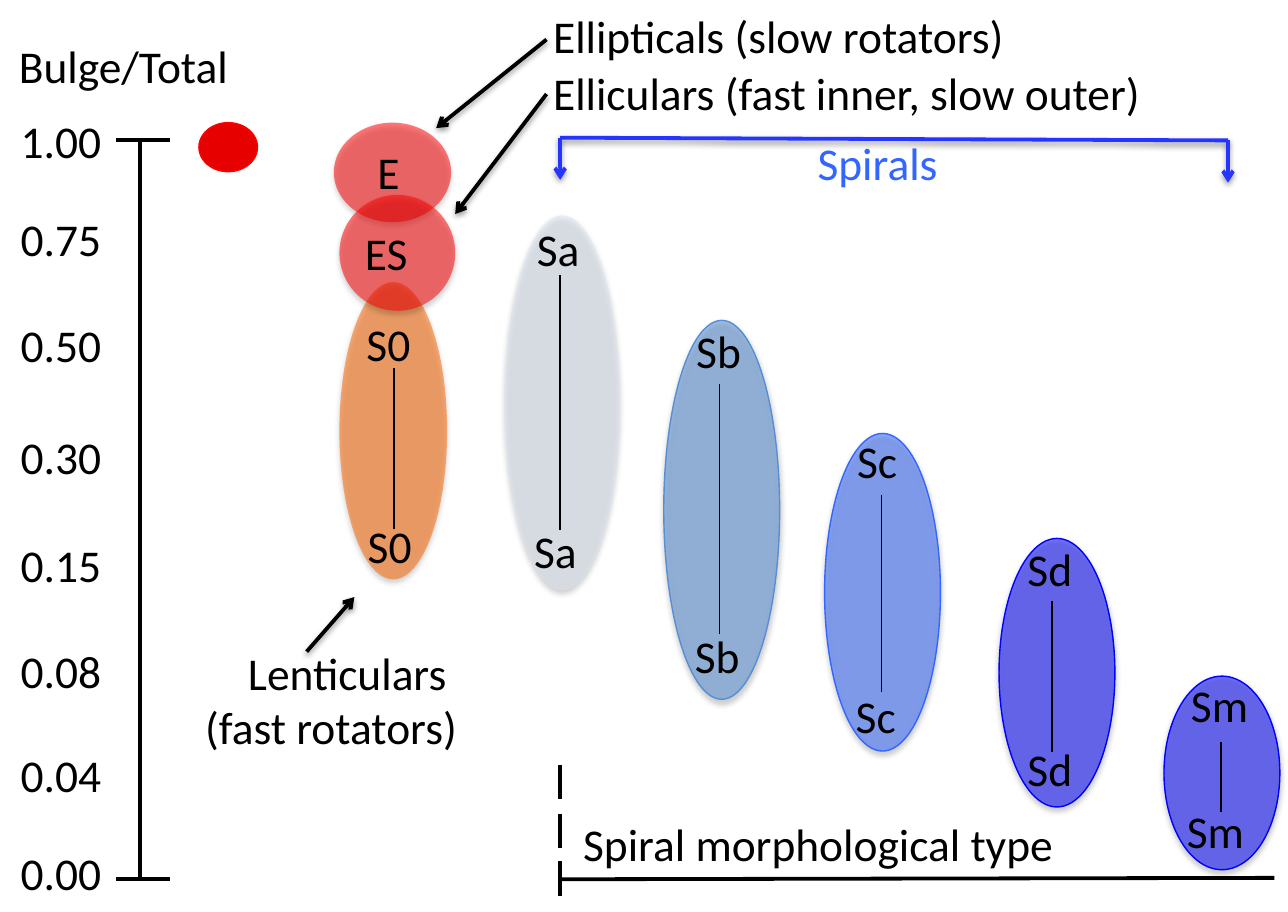
"""Draw a galaxy classification chart of bulge fraction against type."""
from lxml import etree
from pptx import Presentation
from pptx.dml.color import RGBColor
from pptx.enum import shapes, text
from pptx.oxml import ns
from pptx.util import Inches, Pt

HUES = {
    "black": "000000", "white": "FFFFFF", "red": "FF0000", "deep": "E70000",
    "orange": "FF6600", "pale": "DCE6F2", "steel": "558ED5",
    "sky": "3366FF", "blue": "0000FF", "span": "2535FF",
}

# name, hue, edged, (left, top, width, height), label spots, stem (x, top, end)
TYPES = [
    ("S0", "orange", False, (2.49, 2.07, 0.79, 2.18),
     [(2.59, 2.27), (2.6, 3.75)], (2.89, 2.7, 3.88)),
    ("E", "red", False, (2.45, 0.9, 0.86, 0.73), [(2.67, 1.01)], None),
    ("Sm", "blue", True, (8.54, 4.96, 0.85, 1.42),
     [(8.64, 4.92), (8.61, 5.84)], (8.96, 5.44, 5.96)),
    ("Sd", "blue", True, (7.33, 3.95, 0.85, 1.97),
     [(7.44, 3.92), (7.44, 5.39)], (7.72, 4.41, 5.52)),
    ("Sc", "sky", True, (6.05, 3.18, 0.85, 2.33),
     [(6.19, 3.13), (6.18, 5)], (6.47, 3.63, 5.08)),
    ("Sb", "steel", True, (4.87, 2.35, 0.85, 2.78),
     [(5.01, 2.32), (5, 4.56)], (5.28, 2.82, 4.65)),
    ("Sa", "pale", False, (3.7, 1.58, 0.85, 2.75),
     [(3.84, 1.57), (3.82, 3.79)], (4.11, 2.02, 3.89)),
    ("ES", "red", False, (2.49, 1.43, 0.85, 0.85), [(2.58, 1.6)], None),
]
SCALE = [("1.00", 0.78), ("0.75", 1.5), ("0.50", 2.28), ("0.30", 3.1),
         ("0.15", 3.89), ("0.08", 4.67), ("0.04", 5.43), ("0.00", 6.15)]
NOTES = [
    ("Bulge/Total", (0.04, 0.23, 2.46, 0.5)),
    ("Ellipticals (slow rotators)", (3.96, 0.01, 5.4, 0.5)),
    ("Elliculars (fast inner, slow outer)", (3.96, 0.43, 5.4, 0.5)),
    ("Spiral morphological type", (4.18, 5.94, 4.29, 0.5)),
]
AXES = [(1.03, 1.03, 1.03, 6.44), (9.35, 6.44, 4.11, 6.45)]
TICKS = [1.03, 6.45]
DASHES = [5.61, 5.97, 6.32]
POINTERS = [(4.01, 0.69, 3.34, 1.57), (4.01, 0.29, 3.2, 0.94),
            (2.25, 4.78, 2.6, 4.38)]
SPAN = (4.11, 1.01, 9.01, 1.03)

deck = Presentation()
deck.slide_width, deck.slide_height = Inches(9.45), Inches(6.69)
page = deck.slides.add_slide(deck.slide_layouts[6])


def hue(name):
    return RGBColor.from_string(HUES[name])


def node(owner, tag, **attrs):
    return etree.SubElement(owner, ns.qn("a:" + tag), attrs)


def effect(item, shade=None, dist=1.8):
    """Set an empty effect list, or a soft shadow of the given opacity."""
    group = node(item.element.spPr, "effectLst")
    if shade:
        cast = node(group, "outerShdw", blurRad=str(Pt(3.1)),
                    dist=str(Pt(dist)), dir="5400000", rotWithShape="0")
        tint = node(cast, "srgbClr", val=HUES["black"])
        node(tint, "alpha", val=str(shade * 1000))


def oval(box, fill, edge=None, alpha=None, shade=None):
    """Add an ellipse, optionally see-through, edged and shadowed."""
    item = page.shapes.add_shape(shapes.MSO_SHAPE.OVAL, *map(Inches, box))
    item.fill.solid()
    item.fill.fore_color.rgb = hue(fill)
    if alpha:
        tint = item.element.spPr.find(".//" + ns.qn("a:srgbClr"))
        node(tint, "alpha", val=str(alpha * 1000))
    if edge:
        item.line.color.rgb = hue(edge)
        item.line.width = Pt(0.75)
    else:
        item.line.fill.background()
    effect(item, shade)


def rule(ends, tone="black", width=2, arrow=False, shade=None):
    """Add a straight line, optionally with an arrowhead and shadow."""
    item = page.shapes.add_connector(
        shapes.MSO_CONNECTOR.STRAIGHT, *map(Inches, ends))
    item.line.color.rgb = hue(tone)
    item.line.width = Pt(width)
    if arrow:
        node(item.element.spPr.find(ns.qn("a:ln")), "tailEnd", type="arrow")
    effect(item, shade, 1.6)


def write(words, box, tone="black", align="LEFT", edge=None):
    """Add a text box with one paragraph per line of words."""
    item = page.shapes.add_textbox(*map(Inches, box))
    if edge:
        item.line.color.rgb = hue(edge)
        item.line.width = Pt(0.75)
    frame = item.text_frame
    frame.word_wrap = True
    frame.text = words
    for para in frame.paragraphs:
        para.alignment = getattr(text.PP_ALIGN, align)
        for run in para.runs:
            run.font.name, run.font.size = "Calibri", Pt(24)
            run.font.color.rgb = hue(tone)


def main():
    """Place every part and save the slide."""
    for name, tone, edged, box, spots, stem in TYPES:
        oval(box, tone, edge=tone if edged else None, alpha=52, shade=35)
    oval((1.46, 0.9, 0.43, 0.36), "deep", edge="red")

    for name, tone, edged, box, spots, stem in TYPES:
        if stem:
            x, top, end = stem
            rule((x, top, x, end), width=0.75)
        for left, top in spots:
            write(name, (left, top, 0.76, 0.5))

    for ends in AXES:
        rule(ends)
    for y in TICKS:
        rule((0.85, y, 1.25, y))
    for y in DASHES:
        rule((4.11, y, 4.11, y + 0.25))
    for ends in POINTERS:
        rule(ends, arrow=True, shade=38)

    for label, top in SCALE:
        write(label, (0, top, 0.84, 0.5), align="RIGHT")
    for words, box in NOTES:
        write(words, box)
    write("Lenticulars \n(fast rotators)", (0.89, 4.68, 2.56, 0.91),
          align="RIGHT")
    write("Spirals", (5.9, 0.94, 1.62, 0.5), tone="sky", edge="white")

    rule(SPAN, tone="span", shade=38)
    for x, y in (SPAN[:2], SPAN[2:]):
        rule((x, y, x, y + 0.31), tone="span", arrow=True, shade=38)
    deck.save("out.pptx")


if __name__ == "__main__":
    main()
